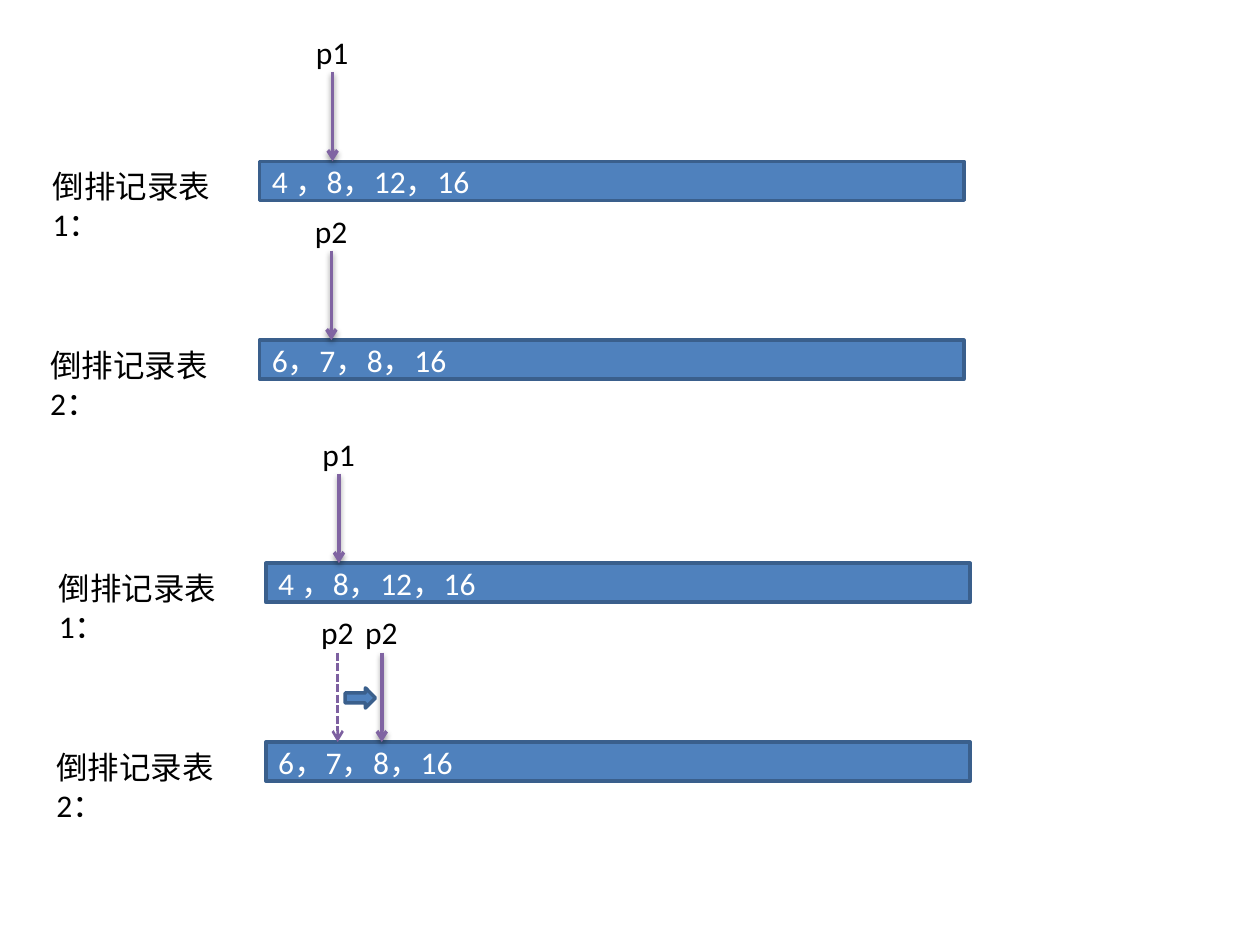
from lxml.etree import SubElement
from pptx import Presentation
from pptx.dml.color import RGBColor
from pptx.enum.dml import MSO_LINE_DASH_STYLE as Dash
from pptx.enum.shapes import MSO_CONNECTOR as Connector, MSO_SHAPE as Shape
from pptx.enum.text import MSO_ANCHOR as Anchor, MSO_AUTO_SIZE as AutoSize, PP_ALIGN as Align
from pptx.oxml.ns import qn
from pptx.util import Inches, Pt

BLUE = RGBColor(0x4F, 0x81, 0xBD)
NAVY = RGBColor(0x3A, 0x5F, 0x8C)
PURPLE = RGBColor(0x80, 0x64, 0xA2)
DASHED_PURPLE = RGBColor(0x7D, 0x60, 0xA0)
BLACK = RGBColor(0, 0, 0)
WHITE = RGBColor(255, 255, 255)


def write(frame, text, color=BLACK, size=18, font="Calibri", align=Align.LEFT):
    para = frame.paragraphs[0]
    para.alignment = align
    span = para.add_run()
    span.text = text
    span.font.name = font
    span.font.size = Pt(size)
    span.font.color.rgb = color


class PostingsSlide:
    bar_width, bar_height = 5.59, 0.31
    text_height = 0.4
    arrow_length = 0.71

    def __init__(self, deck):
        self.shapes = deck.slides.add_slide(deck.slide_layouts[6]).shapes

    def block(self, kind, left, top, width, height):
        box = self.shapes.add_shape(kind, *map(Inches, (left, top, width, height)))
        box.shadow.inherit = False
        box.fill.solid()
        box.fill.fore_color.rgb = BLUE
        box.line.color.rgb = NAVY
        box.line.width = Pt(2)
        return box

    def bar(self, left, top, text):
        frame = self.block(Shape.RECTANGLE, left, top, self.bar_width, self.bar_height).text_frame
        frame.vertical_anchor = Anchor.MIDDLE
        write(frame, text, color=WHITE)

    def label(self, left, top, width, text, wrap=False):
        box = self.shapes.add_textbox(*map(Inches, (left, top, width, self.text_height)))
        frame = box.text_frame
        frame.word_wrap = wrap
        if wrap:
            frame.margin_right = Inches(0.2)
        else:
            frame.auto_size = AutoSize.SHAPE_TO_FIT_TEXT
        write(frame, text)

    def arrow(self, x, top, dashed=False):
        ends = map(Inches, (x, top, x, top + self.arrow_length))
        arrow = self.shapes.add_connector(Connector.STRAIGHT, *ends)
        arrow.line.color.rgb = DASHED_PURPLE if dashed else PURPLE
        arrow.line.width = Pt(1.5 if dashed else 2)
        if dashed:
            arrow.line.dash_style = Dash.SQUARE_DOT
        properties = arrow._element.spPr
        SubElement(properties.find(qn("a:ln")), qn("a:tailEnd"), type="arrow")
        effects = SubElement(properties, qn("a:effectLst"))
        if not dashed:
            shadow = SubElement(effects, qn("a:outerShdw"), blurRad="40000", dist="20000",
                                dir="5400000", rotWithShape="0")
            shade = SubElement(shadow, qn("a:srgbClr"), val="000000")
            SubElement(shade, qn("a:alpha"), val="38000")

    def pointer(self, x, bar_top, name, dashed=False):
        top = bar_top - self.arrow_length
        self.arrow(x, top, dashed)
        self.label(x - 0.23, top - 0.36, 0.46, name)

    def postings(self, left, top, label_left, name, values):
        self.bar(left, top, values)
        self.label(label_left, top, 1.84, name, wrap=True)


deck = Presentation()
deck.slide_width, deck.slide_height = Inches(10), Inches(7.5)
page = PostingsSlide(deck)

FIRST_TOP, SECOND_TOP = 1.28, 2.7
STEP_X, STEP_Y = 0.05, 3.19

for step in range(2):
    x, y = step * STEP_X, step * STEP_Y
    page.postings(2.06 + x, FIRST_TOP + y, 0.32 + x, "倒排记录表1：", "4 ，8，12，16")
    page.postings(2.06 + x, SECOND_TOP + y, 0.3 + x, "倒排记录表2：", "6，7，8，16")
    page.pointer(2.64 + x, FIRST_TOP + y, "p1")
    page.pointer(2.63 + x, SECOND_TOP + y, "p2", dashed=step == 1)

page.pointer(3.03, SECOND_TOP + STEP_Y, "p2")
page.block(Shape.RIGHT_ARROW, 2.74, 5.46, 0.24, 0.16)

deck.save("out.pptx")
